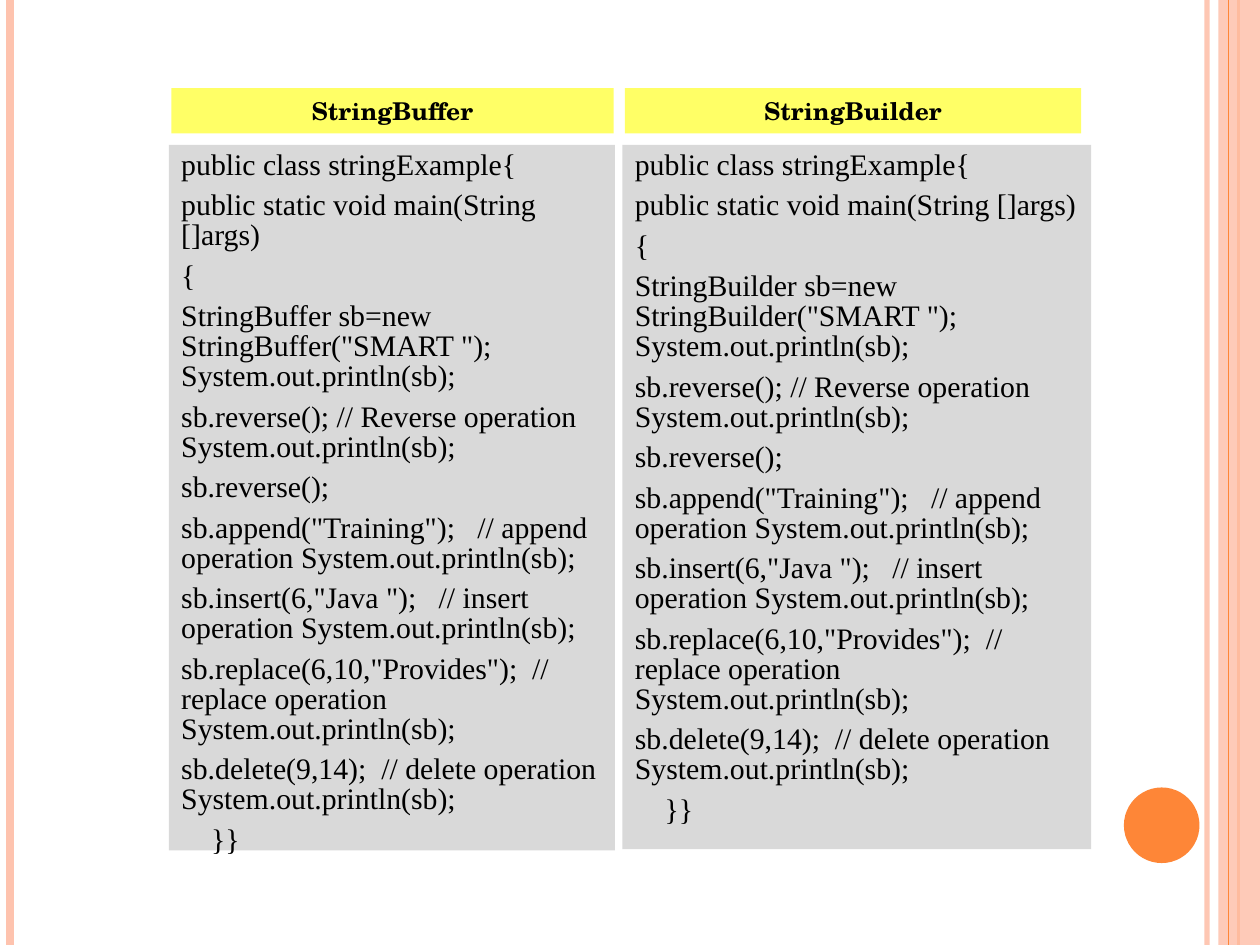
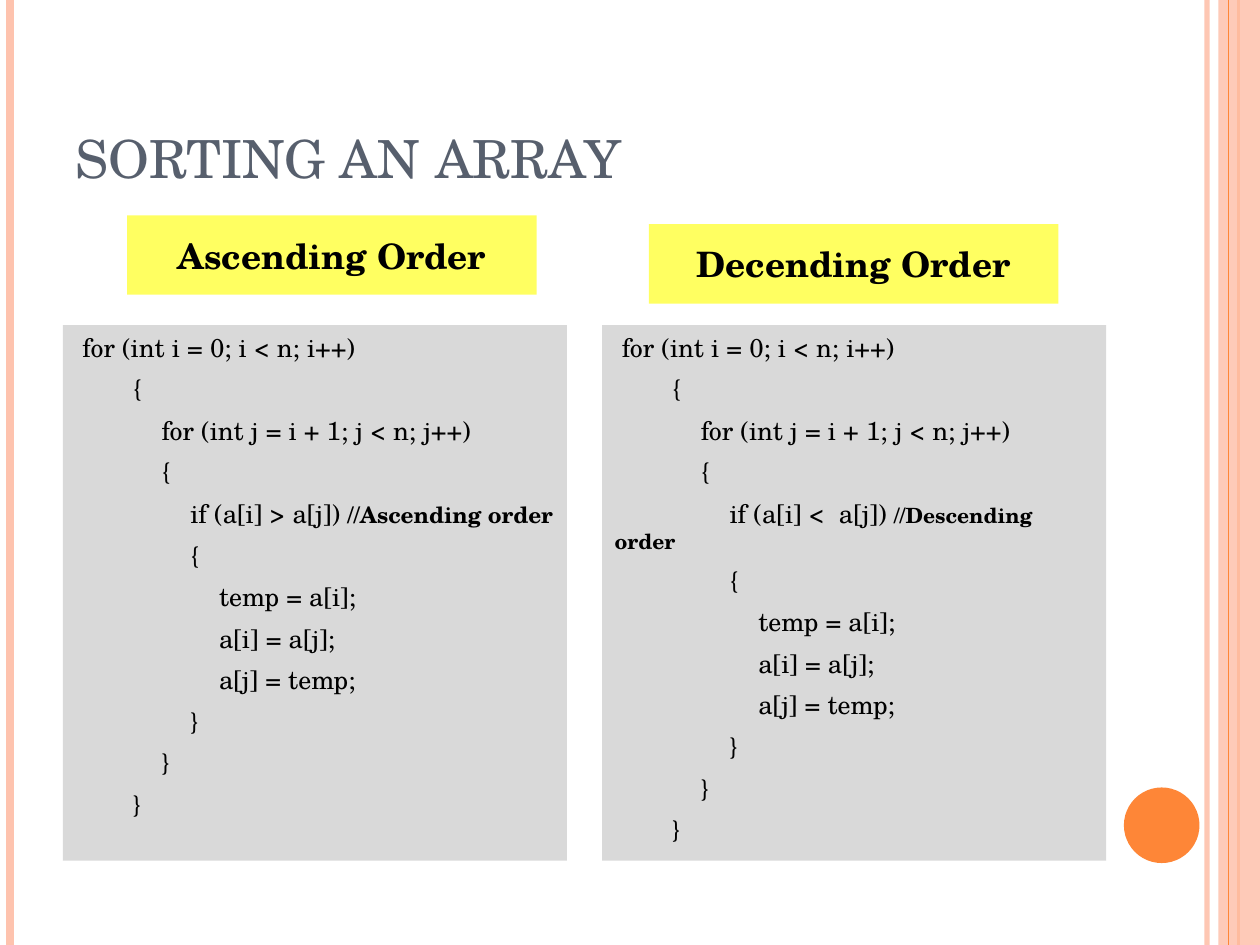
import pptx
import pptx.util
import pptx.dml.color
import pptx.enum.shapes
import pptx.enum.text
import pptx.oxml.ns
import lxml.etree

Inches = pptx.util.Inches
Kind = pptx.enum.shapes.MSO_SHAPE
Side = pptx.enum.text.PP_ALIGN
Anchor = pptx.enum.text.MSO_ANCHOR
qn = pptx.oxml.ns.qn

colors = {
    "peach": "FEC3AE",
    "orange": "FE8637",
    "gray": "D9D9D9",
    "lemon": "FFFF66",
    "yellow": "FFFF61",
    "slate": "575F6D",
    "black": "000000",
}
serif = "Times New Roman"
schola = "TeX Gyre Schola"


def paint(slide, kind, spot, fill, alpha=None):
    shape = slide.shapes.add_shape(kind, *[Inches(n) for n in spot])
    shape.shadow.inherit = False
    shape.line.fill.background()
    shape.fill.solid()
    shape.fill.fore_color.rgb = pptx.dml.color.RGBColor.from_string(colors[fill])
    if alpha:
        tint = shape._element.spPr.find(".//" + qn("a:srgbClr"))
        lxml.etree.SubElement(tint, qn("a:alpha"), val=str(alpha * 1000))
    return shape


def write(shape, lines, font, align=Side.LEFT, anchor=Anchor.TOP, space=None, hue="black"):
    frame = shape.text_frame
    frame.word_wrap = True
    frame.vertical_anchor = anchor
    for i, line in enumerate(lines):
        para = frame.paragraphs[0] if i == 0 else frame.add_paragraph()
        form = {"alignment": align, "line_spacing": space,
                "space_before": pptx.util.Pt(6 if i else 0)}
        for key, value in form.items():
            setattr(para, key, value)
        for text, extra in line if isinstance(line, list) else [(line, {})]:
            run = para.add_run()
            run.text = text
            look = {"bold": False, **font, **extra}
            look["size"] = pptx.util.Pt(look["size"])
            for key, value in look.items():
                setattr(run.font, key, value)
            run.font.color.rgb = pptx.dml.color.RGBColor.from_string(colors[hue])


deck = pptx.Presentation()
deck.slide_width = Inches(10)
deck.slide_height = Inches(7.5)

rules = [(9.58, "peach", 3, 93), (0.08, "peach", 4.5, 100), (9.83, "orange", 1.5, 100)]
thin = (9.75, "orange", 0.75, 100)
band = (9.67, 0, 0.33, 7.5)
dot = (8.92, 6.25, 0.6, 0.6)

slides = []
for page in range(2):
    slide = deck.slides.add_slide(deck.slide_layouts[6])
    for rule in rules + [thin]:
        if rule is thin:
            paint(slide, Kind.RECTANGLE, band, "peach", 87)
        x, hue, width, alpha = rule
        line = slide.shapes.add_connector(
            pptx.enum.shapes.MSO_CONNECTOR.STRAIGHT,
            Inches(x), 0, Inches(x), deck.slide_height)
        line.line.width = pptx.util.Pt(width)
        line.line.color.rgb = pptx.dml.color.RGBColor.from_string(colors[hue])
        if alpha < 100:
            tint = line._element.spPr.find(".//" + qn("a:srgbClr"))
            lxml.etree.SubElement(tint, qn("a:alpha"), val=str(alpha * 1000))
        lxml.etree.SubElement(line._element.spPr, qn("a:effectLst"))
    paint(slide, Kind.OVAL, dot, "orange")
    slides.append(slide)

strings, sorting = slides

show = "System.out.println(sb);"
panels = [
    ("StringBuffer", (1.34, 1.15, 3.54, 5.6), (1.36, 0.7, 3.51, 0.36)),
    ("StringBuilder", (4.94, 1.15, 3.72, 5.59), (4.96, 0.7, 3.62, 0.36)),
]
for name, spot, head in panels:
    code = [
        "public class stringExample{",
        "public static void main(String []args)",
        "{",
        f'{name} sb=new {name}("SMART "); {show}',
        f"sb.reverse(); // Reverse operation {show}",
        "sb.reverse();",
        f'sb.append("Training");   // append operation {show}',
        f'sb.insert(6,"Java ");   // insert operation {show}',
        f'sb.replace(6,10,"Provides");  // replace operation {show}',
        f"sb.delete(9,14);  // delete operation {show}",
        "    }}",
    ]
    panel = paint(strings, Kind.RECTANGLE, spot, "gray")
    write(panel, code, {"name": serif, "size": 17}, space=0.84)
    label = paint(strings, Kind.RECTANGLE, head, "lemon")
    write(label, [name], {"name": schola, "size": 14, "bold": True},
          Side.CENTER, Anchor.MIDDLE)

title = sorting.shapes.add_textbox(*[Inches(n) for n in (0.5, 0.3, 8.25, 1.25)])
write(title, ["SORTING AN ARRAY"], {"name": schola, "size": 30},
      anchor=Anchor.BOTTOM, hue="slate")

orders = [
    ("Ascending Order", "> ", "//Ascending order", 12.9, 0.5, (1.01, 1.71)),
    ("Decending Order", "<  ", "//Descending order", 12, 4.78, (5.15, 1.78)),
]
for name, sign, note, size, left, head in orders:
    code = [
        " for (int i = 0; i < n; i++)",
        "        {",
        "            for (int j = i + 1; j < n; j++)",
        "            {",
        [(f"                if (a[i] {sign}a[j]) ", {}), (note, {"size": size, "bold": True})],
        "                {",
        "                    temp = a[i];",
        "                    a[i] = a[j];",
        "                    a[j] = temp;",
        "                }",
        "            }",
        "        }",
    ]
    panel = paint(sorting, Kind.RECTANGLE, (left, 2.58, 4, 4.25), "gray")
    write(panel, code, {"name": schola, "size": 14.8})
    label = paint(sorting, Kind.RECTANGLE, (*head, 3.25, 0.63), "yellow")
    write(label, [name], {"name": schola, "size": 20, "bold": True},
          Side.CENTER, Anchor.MIDDLE)

deck.save("out.pptx")
